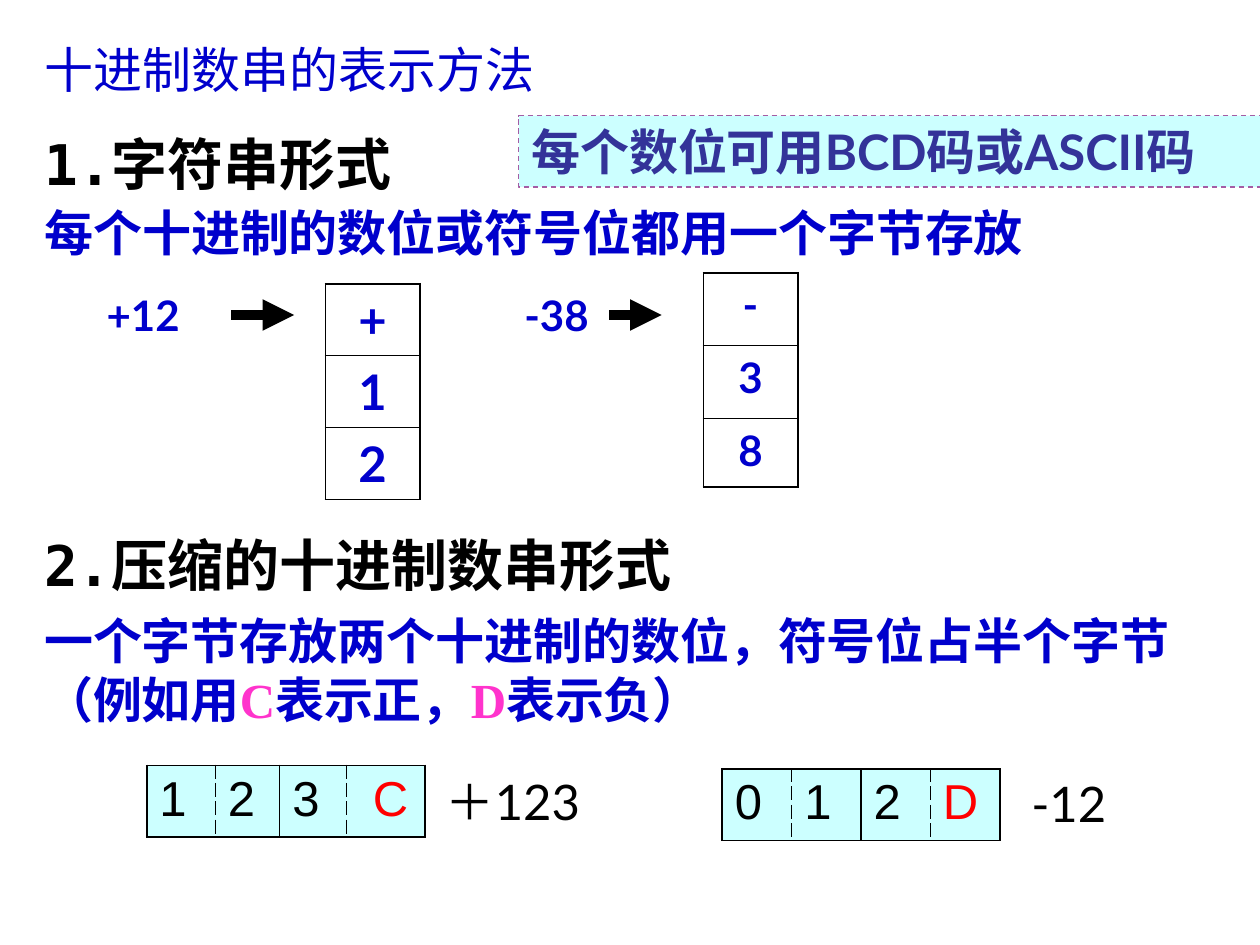
from lxml import etree
from pptx import Presentation
from pptx import util as u
from pptx.dml.color import RGBColor
from pptx.enum import dml, shapes, text
from pptx.oxml import ns

COLORS = {
    "black": "000000", "blue": "0000CC", "navy": "333399", "pink": "FF33CC",
    "red": "FF0000", "cyan": "CCFFFF", "edge": "A45CA4",
}
CJK = "Noto Sans CJK SC"
THICK, MEDIUM, THIN, DASHED = (1.08, "solid"), (0.75, "solid"), (0.45, "solid"), (0.75, "dash")


def rgb(name):
    return RGBColor.from_string(COLORS[name])


def sub(parent, tag, **attrs):
    return etree.SubElement(parent, ns.qn(tag), **attrs)


def write(p, parts, size, color, font, bold=False, align=text.PP_ALIGN.LEFT):
    pPr = p._p.get_or_add_pPr()
    pPr.set("marL", "0")
    pPr.set("indent", "0")
    p.alignment = align
    p.space_before = u.Pt(0)
    sub(pPr, "a:buNone")
    p.font.size = u.Pt(size)
    p.font.bold = bold
    p.font.color.rgb = rgb(color)
    p.font.name = font
    sub(pPr.find(ns.qn("a:defRPr")), "a:ea", typeface=CJK)
    for words, accent in parts:
        r = p.add_run()
        r.text = words
        if accent:
            r.font.color.rgb = rgb(accent)


def place(sp, left, top, width, height):
    sp.left, sp.top, sp.width, sp.height = map(u.Cm, (left, top, width, height))


def add_label(s, words, box, size, color, align=text.PP_ALIGN.LEFT, wrap=True,
              anchor=text.MSO_ANCHOR.TOP):
    sp = s.shapes.add_textbox(*map(u.Cm, box))
    tf = sp.text_frame
    tf.word_wrap = wrap
    tf.vertical_anchor = anchor
    write(tf.paragraphs[0], [(words, None)], size, color, "Lato", wrap, align)


def add_banner(s, words, box):
    sp = s.shapes.add_shape(shapes.MSO_SHAPE.RECTANGLE, *map(u.Cm, box))
    sp.shadow.inherit = False
    sp.fill.solid()
    sp.fill.fore_color.rgb = rgb("cyan")
    sp.line.color.rgb = rgb("edge")
    sp.line.width = u.Pt(0.75)
    sp.line.dash_style = dml.MSO_LINE.DASH
    tf = sp.text_frame
    tf.word_wrap = False
    tf.vertical_anchor = text.MSO_ANCHOR.TOP
    write(tf.paragraphs[0], [(words, None)], 28, "navy", "Lato", True)


def add_arrow(s, left, right, y):
    c = s.shapes.add_connector(shapes.MSO_CONNECTOR.STRAIGHT, *map(u.Cm, (left, y, right, y)))
    c.line.color.rgb = rgb("black")
    c.line.width = u.Pt(6)
    sub(c.line._get_or_add_ln(), "a:tailEnd", type="triangle")
    sub(c._element.spPr, "a:effectLst")


def set_borders(cell, **sides):
    tcPr = cell._tc.get_or_add_tcPr()
    for side in "LRTB":
        width, dash = sides[side]
        ln = sub(tcPr, f"a:ln{side}", w=str(u.Pt(width)))
        sub(sub(ln, "a:solidFill"), "a:srgbClr", val=COLORS["black"])
        sub(ln, "a:prstDash", val=dash)


def add_grid(s, left, top, widths, heights):
    frame = s.shapes.add_table(len(heights), len(widths), u.Cm(left), u.Cm(top),
                               u.Cm(sum(widths)), u.Cm(sum(heights)))
    table = frame.table
    table.first_row = table.horz_banding = False
    for column, width in zip(table.columns, widths):
        column.width = u.Cm(width)
    for row, height in zip(table.rows, heights):
        row.height = u.Cm(height)
    return table


def add_byte_stack(s, left, top, heights, symbols, size):
    table = add_grid(s, left, top, [1.9], heights)
    edges = [THICK, THIN, THIN, THICK]
    for i, symbol in enumerate(symbols):
        cell = table.cell(i, 0)
        set_borders(cell, L=THICK, R=THICK, T=edges[i], B=edges[i + 1])
        cell.fill.background()
        write(cell.text_frame.paragraphs[0], [(symbol, None)], size, "blue", "Lato", True,
              text.PP_ALIGN.CENTER)


def add_packed_bytes(s, left, top, widths, digits, sign_margin):
    table = add_grid(s, left, top, widths, [1.44])
    edges = [THICK, DASHED, MEDIUM, DASHED, THICK]
    for i, digit in enumerate(digits):
        cell = table.cell(0, i)
        set_borders(cell, L=edges[i], R=edges[i + 1], T=THICK, B=THICK)
        cell.fill.solid()
        cell.fill.fore_color.rgb = rgb("cyan")
        color = "red" if digit.isalpha() else "black"
        write(cell.text_frame.paragraphs[0], [(digit, None)], 28, color, "Arial")
    cell.margin_left = u.Cm(sign_margin)


def fill_placeholders(s):
    title, body = s.shapes.title, s.placeholders[1]
    place(title, 0.42, 0.64, 14.4, 1.48)
    tf = title.text_frame
    tf.vertical_anchor = text.MSO_ANCHOR.BOTTOM
    tf.margin_left = u.Cm(0.48)
    write(tf.paragraphs[0], [("十进制数串的表示方法", None)], 28, "blue", "Times New Roman")

    place(body, 0.64, 2.75, 23.92, 2.75)
    tf = body.text_frame
    p = tf.paragraphs[0]
    p.line_spacing = 0.8
    write(p, [("1.字符串形式", None)], 32, "black", "DejaVu Sans Mono", True)
    p = tf.add_paragraph()
    p.line_spacing = 0.9
    write(p, [("每个十进制的数位或符号位都用一个字节存放", None)], 28, "blue", "Lato", True)
    p.space_before = u.Pt(7)


def add_packed_section(s):
    tf = s.shapes.add_textbox(*map(u.Cm, (0.64, 10.58, 23.7, 4.23))).text_frame
    tf.word_wrap = True
    write(tf.paragraphs[0], [("2.压缩的十进制数串形式", None)], 32, "black",
          "DejaVu Sans Mono", True)
    p = tf.add_paragraph()
    write(p, [("一个字节存放两个十进制的数位，符号位占半个字节（例如用", None), ("C", "pink"),
              ("表示正，", None), ("D", "pink"), ("表示负）", None)],
          28, "blue", "Times New Roman", True)
    p.space_before = u.Pt(7)


def main():
    prs = Presentation()
    prs.slide_width, prs.slide_height = u.Cm(25.4), u.Cm(19.05)
    s = prs.slides.add_slide(prs.slide_layouts[1])
    fill_placeholders(s)

    add_label(s, "+12", (1.9, 5.72, 2.54, 1.27), 24, "blue")
    add_arrow(s, 4.66, 5.93, 6.35)
    add_byte_stack(s, 6.56, 5.72, [1.45, 1.45, 1.45], "+12", 28)
    add_label(s, "-38", (9.95, 5.72, 2.54, 1.27), 24, "blue", text.PP_ALIGN.CENTER)
    add_arrow(s, 12.28, 13.34, 6.35)
    add_byte_stack(s, 14.18, 5.5, [1.47, 1.47, 1.38], "-38", 24)

    add_packed_section(s)
    middle = text.MSO_ANCHOR.MIDDLE
    add_packed_bytes(s, 2.96, 15.43, [1.38, 1.3, 1.35, 1.58], "123C", 0.53)
    add_label(s, "＋123", (8.74, 15.43, 3.43, 1.44), 28, "black", wrap=False, anchor=middle)
    add_packed_bytes(s, 14.56, 15.5, [1.4] * 4, "012D", 0.25)
    add_label(s, "-12", (20.54, 15.47, 2.21, 1.44), 28, "black", wrap=False, anchor=middle)
    add_banner(s, "每个数位可用BCD码或ASCII码", (10.46, 2.33, 14.96, 1.44))
    prs.save("out.pptx")


if __name__ == "__main__":
    main()
